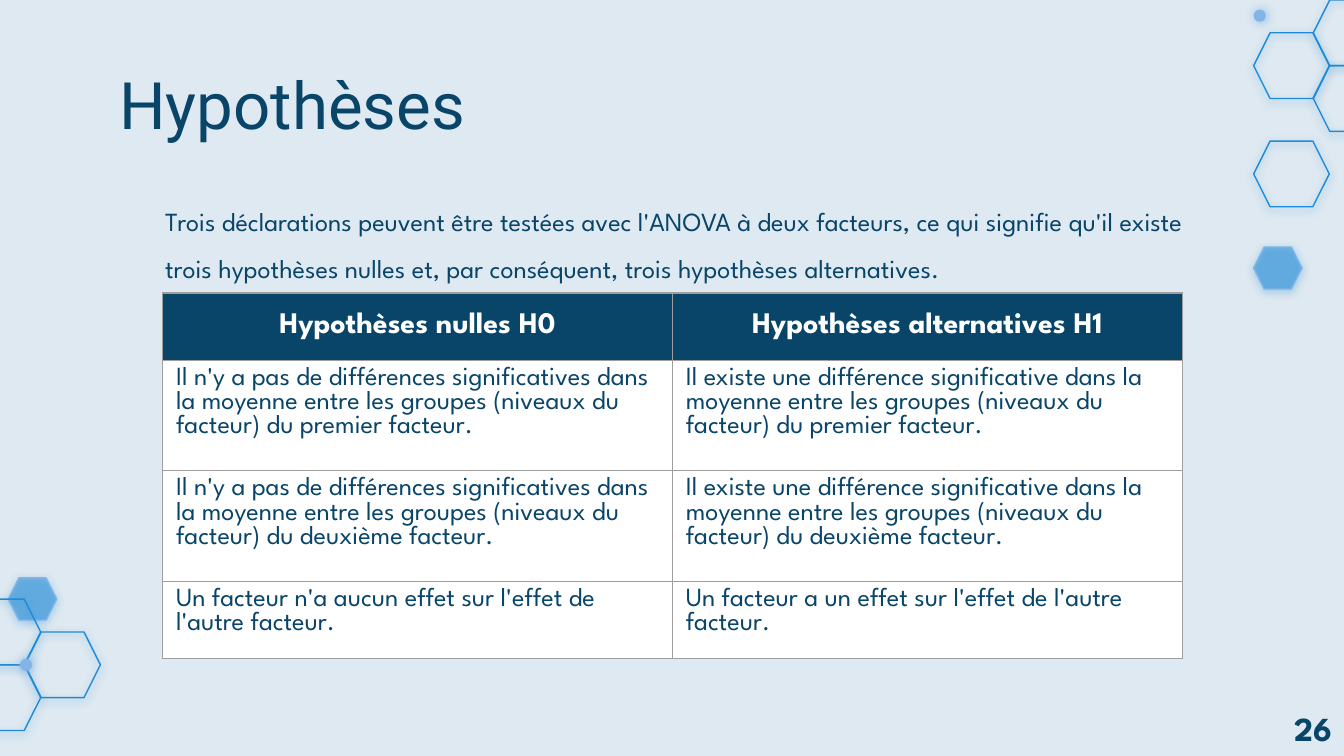
from lxml import etree
from pptx import Presentation
from pptx.dml.color import RGBColor
from pptx.enum.shapes import MSO_SHAPE
from pptx.enum.text import MSO_ANCHOR, PP_ALIGN
from pptx.oxml.ns import qn
from pptx.util import Pt

HEXAGON, OVAL = MSO_SHAPE.HEXAGON, MSO_SHAPE.OVAL
MIDDLE, CENTER = MSO_ANCHOR.MIDDLE, PP_ALIGN.CENTER
COLORS = {"background": "DEE9F1", "navy": "084569", "blue": "1F8AD7",
          "light": "84B3E8", "white": "FFFFFF", "border": "9E9E9E"}
BODY_FONT = "League Spartan"
HEX_W, HEX_H = 40.5, 35.2
SMALL_W, SMALL_H = 25.9, 22.6
DOT = 6.5

INTRO = ("Trois déclarations peuvent être testées avec l'ANOVA à deux facteurs, "
         "ce qui signifie qu'il existe trois hypothèses nulles et, par conséquent, "
         "trois hypothèses alternatives.")
GROUPS = "dans la moyenne entre les groupes (niveaux du facteur) du {} facteur."
HEADERS = ["Hypothèses nulles H0", "Hypothèses alternatives H1"]
HYPOTHESES = [
    ["Il n'y a pas de différences significatives " + GROUPS.format(rank),
     "Il existe une différence significative " + GROUPS.format(rank)]
    for rank in ("premier", "deuxième")
] + [["Un facteur n'a aucun effet sur l'effet de l'autre facteur.",
      "Un facteur a un effet sur l'effet de l'autre facteur."]]


def rgb(name):
    return RGBColor.from_string(COLORS[name])


def add_color(parent, name, alpha):
    color = etree.SubElement(parent, qn("a:srgbClr"), val=COLORS[name])
    etree.SubElement(color, qn("a:alpha"), val=str(alpha * 1000))


def add_glow(sp, name, alpha, blur, dist, angle):
    """Give the shape a soft coloured outer shadow."""
    effects = etree.SubElement(sp._element.spPr, qn("a:effectLst"))
    shadow = etree.SubElement(
        effects, qn("a:outerShdw"), blurRad=str(Pt(blur)), dist=str(Pt(dist)),
        dir=str(angle * 60000), algn="bl", rotWithShape="0")
    add_color(shadow, name, alpha)


def add_hexagon(s, left, top, filled=False):
    width, height = (SMALL_W, SMALL_H) if filled else (HEX_W, HEX_H)
    sp = s.shapes.add_shape(HEXAGON, Pt(left), Pt(top), Pt(width), Pt(height))
    sp.adjustments[0] = 0.25
    if filled:
        sp.fill.solid()
        sp.fill.fore_color.rgb = rgb("blue")
        color = sp._element.spPr.find(qn("a:solidFill"))[0]
        etree.SubElement(color, qn("a:alpha"), val="53000")
    else:
        sp.fill.background()
    sp.line.color.rgb = rgb("light" if filled else "blue")
    sp.line.width = Pt(0.75)
    add_glow(sp, "blue", 50, 4.5, 1.5, 90)


def add_dot(s, left, top):
    sp = s.shapes.add_shape(OVAL, Pt(left), Pt(top), Pt(DOT), Pt(DOT))
    sp.fill.solid()
    sp.fill.fore_color.rgb = rgb("light")
    sp.line.fill.background()
    add_glow(sp, "light", 100, 5.6, 0.8, 11)


def add_top_corner(s, left, top):
    column = left + 32
    for x, y in ((column, top), (column, top + HEX_H),
                 (left, top + HEX_H / 2), (left, top + 75.6)):
        add_hexagon(s, x, y)
    add_hexagon(s, left, top + 132.3, filled=True)
    add_dot(s, left, top + 5.2)


def add_bottom_corner(s, left, top):
    add_hexagon(s, left + 23.2, top - 11.4, filled=True)
    for x, y in ((left, top), (left, top + HEX_H), (left + 32, top + HEX_H / 2)):
        add_hexagon(s, x, y)
    add_dot(s, left + 29.4, top + HEX_H - DOT / 2)


def write(tf, text, size, color="navy", font=BODY_FONT, bold=False):
    p = tf.paragraphs[0]
    r = p.add_run()
    r.text = text
    r.font.name = font
    r.font.size = Pt(size)
    r.font.bold = bold
    r.font.color.rgb = rgb(color)
    return p


def add_text(s, box, text, size, inset=7.2, **style):
    tf = s.shapes.add_textbox(*map(Pt, box)).text_frame
    tf.word_wrap = True
    tf.margin_top = tf.margin_bottom = Pt(inset)
    return write(tf, text, size, **style)


def add_borders(cell):
    props = cell._tc.get_or_add_tcPr()
    for i, side in enumerate(("a:lnL", "a:lnR", "a:lnT", "a:lnB")):
        line = etree.Element(qn(side), w=str(Pt(0.75)))
        add_color(etree.SubElement(line, qn("a:solidFill")), "border", 100)
        props.insert(i, line)


def add_hypothesis_table(s, left, top, width, row_heights):
    rows = [HEADERS] + HYPOTHESES
    table = s.shapes.add_table(len(rows), len(HEADERS), Pt(left), Pt(top),
                               Pt(width), Pt(sum(row_heights))).table
    for row, height in zip(table.rows, row_heights):
        row.height = Pt(height)
    for i, texts in enumerate(rows):
        for j, text in enumerate(texts):
            cell = table.cell(i, j)
            cell.fill.solid()
            cell.fill.fore_color.rgb = rgb("white" if i else "navy")
            add_borders(cell)
            if i:
                write(cell.text_frame, text, 14)
            else:
                cell.vertical_anchor = MIDDLE
                write(cell.text_frame, text, 16, "white", bold=True).alignment = CENTER


def main():
    prs = Presentation()
    prs.slide_width, prs.slide_height = Pt(720), Pt(405)
    s = prs.slides.add_slide(prs.slide_layouts[6])
    s.background.fill.solid()
    s.background.fill.fore_color.rgb = rgb("background")
    add_top_corner(s, 671.6, 0)
    add_bottom_corner(s, -18.7, 321)
    add_text(s, (56.9, 27.4, 607, 45.4), "Hypothèses", 35, font="Roboto")
    add_text(s, (81.4, 94.3, 572.4, 298.8), INTRO, 14).line_spacing = 1.5
    add_hypothesis_table(s, 87.1, 157, 546.2, (36, 59.2, 59.2, 41.4))
    add_text(s, (686.2, 375.8, 45.4, 28.8), "26", 18, inset=3.6, bold=True)
    prs.save("out.pptx")


if __name__ == "__main__":
    main()
